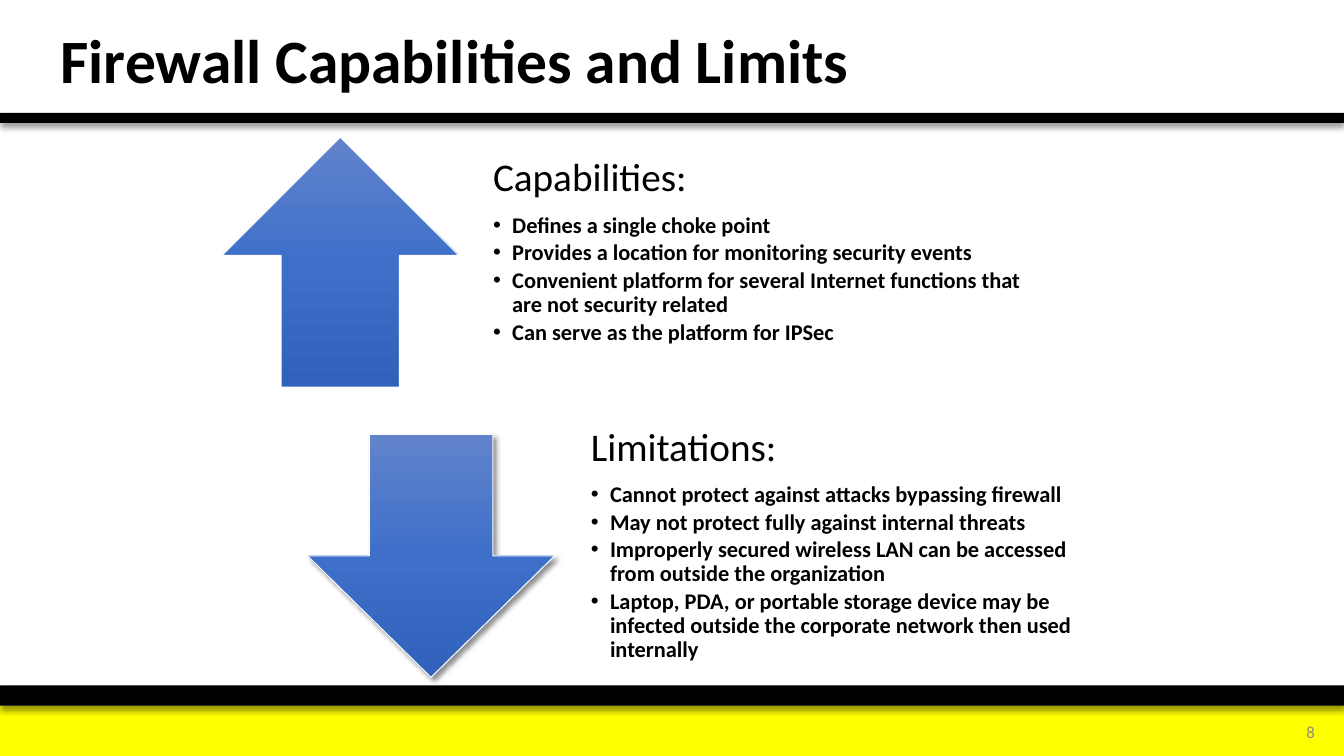
from copy import deepcopy
from dataclasses import dataclass

from lxml import etree
from pptx import Presentation
from pptx import util as u
from pptx.dml.color import RGBColor
from pptx.enum import shapes, text
from pptx.oxml import ns

FONT = "Calibri"
SHADES = ((0, "6183CB"), (0.5, "3E70CA"), (1, "3062BB"))


@dataclass
class Box:
    left: float
    top: float
    width: float
    height: float

    def lengths(self) -> list:
        return [u.Inches(n) for n in (self.left, self.top, self.width, self.height)]


@dataclass
class Band:
    box: Box
    color: str
    shadow: bool


@dataclass
class Panel:
    arrow: shapes.MSO_SHAPE
    place: Box
    glow: str
    body: Box
    heading: str
    points: list[str]


BANDS = [
    Band(Box(0, 7, 13.33, 0.5), "FFFF00", False),
    Band(Box(0, 6.8, 13.33, 0.2), "000000", True),
    Band(Box(0, 1.12, 13.33, 0.1), "000000", True),
]
PANELS = [
    Panel(shapes.MSO_SHAPE.UP_ARROW, Box(2.2, 1.36, 2.35, 2.48), "FFFFFF",
          Box(4.67, 1.26, 6, 2.69), "Capabilities:", [
              "Defines a single choke point",
              "Provides a location for monitoring security events",
              "Convenient platform for several Internet functions that are not security related",
              "Can serve as the platform for IPSec",
          ]),
    Panel(shapes.MSO_SHAPE.DOWN_ARROW, Box(3.05, 4.31, 2.45, 2.41), "000000",
          Box(5.64, 3.92, 5.52, 3.19), "Limitations:", [
              "Cannot protect against attacks bypassing firewall",
              "May not protect fully against internal threats",
              "Improperly secured wireless LAN can be accessed from outside the organization",
              "Laptop, PDA, or portable storage device may be infected outside the "
              "corporate network then used internally",
          ]),
]


def paint(target, color: str) -> None:
    target.rgb = RGBColor.from_string(color)


def add(parent, tag: str, **attrs: str):
    return etree.SubElement(parent, ns.qn(tag), attrs)


def move(shape, box: Box) -> None:
    shape.left, shape.top, shape.width, shape.height = box.lengths()


def shade(shape, color: str, alpha: int, angle: int) -> None:
    effect = shape._element.spPr.find(ns.qn("a:effectLst"))
    cast = add(effect, "a:outerShdw", blurRad=str(u.Pt(4)), dist=str(u.Pt(3)),
               dir=str(angle * 60000), algn="ctr", rotWithShape="0")
    tone = add(cast, "a:srgbClr", val=color)
    add(tone, "a:alpha", val=str(alpha * 1000))


def style(par, size: int, color: str, bold: bool = False) -> None:
    font = par.font
    font.name, font.size, font.bold = FONT, u.Pt(size), bold
    paint(font.color, color)


def draw_band(slide, band: Band) -> None:
    bar = slide.shapes.add_shape(shapes.MSO_SHAPE.RECTANGLE, *band.box.lengths())
    bar.shadow.inherit = False
    bar.fill.solid()
    paint(bar.fill.fore_color, band.color)
    bar.line.fill.background()
    if band.shadow:
        shade(bar, "000000", 40, 90)


def draw_arrow(slide, panel: Panel) -> None:
    arrow = slide.shapes.add_shape(panel.arrow, *panel.place.lengths())
    arrow.shadow.inherit = False
    arrow.fill.gradient()
    arrow.fill.gradient_angle = 270
    stops = arrow._element.spPr.find(".//" + ns.qn("a:gsLst"))
    stops.append(deepcopy(stops[-1]))
    for stop, (spot, color) in zip(arrow.fill.gradient_stops, SHADES):
        stop.position = spot
        paint(stop.color, color)
    paint(arrow.line.color, "FFFFFF")
    arrow.line.width = u.Pt(0.75)
    shade(arrow, panel.glow, 43, 45)


def fill_body(body, panel: Panel) -> None:
    move(body, panel.body)
    frame = body.text_frame
    frame.auto_size = text.MSO_AUTO_SIZE.NONE
    frame.word_wrap = True
    frame.vertical_anchor = text.MSO_ANCHOR.MIDDLE
    frame.margin_top = 0
    frame.margin_left = frame.margin_right = frame.margin_bottom = u.Inches(0.22)
    frame.text = "\n".join([panel.heading, *panel.points])
    for rank, par in enumerate(frame.paragraphs):
        par.line_spacing = 0.9
        par.space_before = u.Pt(0)
        par.space_after = u.Pt(2.4 if rank else 9.8)
        props = par._p.get_or_add_pPr()
        indent = u.Inches(0.19) if rank else 0
        props.set("marL", str(indent))
        props.set("indent", str(-indent))
        if rank:
            par.level = 1
            add(props, "a:buChar", char="•")
            style(par, 16, "000000", True)
        else:
            add(props, "a:buNone")
            style(par, 28, "000000")


def fill_title(title) -> None:
    move(title, Box(0.5, 0.07, 9, 1.12))
    frame = title.text_frame
    frame.auto_size = text.MSO_AUTO_SIZE.NONE
    frame.vertical_anchor = text.MSO_ANCHOR.MIDDLE
    frame.text = "Firewall Capabilities and Limits"
    par = frame.paragraphs[0]
    par.alignment = text.PP_ALIGN.LEFT
    par.line_spacing = 0.9
    style(par, 44, "000000", True)


def draw_number(slide) -> None:
    label = slide.shapes.add_textbox(*Box(12.38, 7.06, 0.76, 0.4).lengths())
    frame = label.text_frame
    frame.word_wrap = True
    frame.vertical_anchor = text.MSO_ANCHOR.MIDDLE
    frame.text = "8"
    par = frame.paragraphs[0]
    par.alignment = text.PP_ALIGN.RIGHT
    style(par, 12, "8C8C8C")


def main() -> None:
    deck = Presentation()
    deck.slide_width, deck.slide_height = u.Inches(13.33), u.Inches(7.5)
    slide = deck.slides.add_slide(deck.slide_layouts.get_by_name("Two Content"))
    title, *bodies = slide.placeholders
    fill_title(title)
    for band in BANDS:
        draw_band(slide, band)
    for body, panel in zip(bodies, PANELS):
        draw_arrow(slide, panel)
        fill_body(body, panel)
    draw_number(slide)
    deck.save("out.pptx")


if __name__ == "__main__":
    main()
